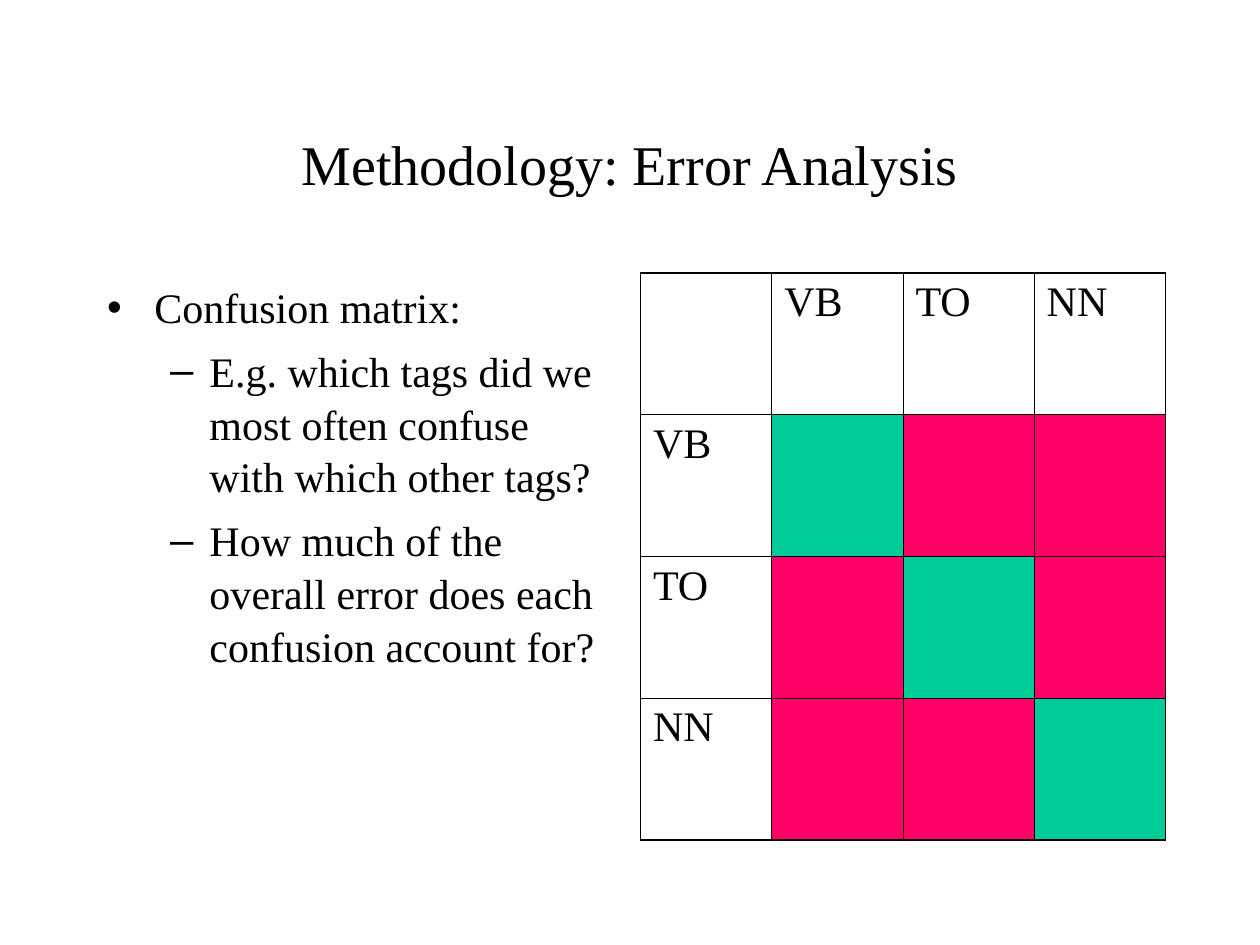
from pptx import Presentation
from pptx.dml.color import RGBColor
from pptx.enum import text
from pptx.oxml import parse_xml
from pptx.oxml.ns import nsdecls
from pptx.util import Pt

BLACK, WHITE, GREEN, PINK = "000000", "FFFFFF", "00CC99", "FF0066"


def write(para, words, size):
    run = para.add_run()
    run.text = words
    run.font.name = "Times New Roman"
    run.font.size = Pt(size)
    run.font.color.rgb = RGBColor.from_string(BLACK)


def edge(cell, side, width):
    """Draw one border of a cell; side is L, R, T or B."""
    cell._tc.get_or_add_tcPr().append(parse_xml(
        f'<a:ln{side} {nsdecls("a")} w="{Pt(width)}"><a:solidFill>'
        f'<a:srgbClr val="{BLACK}"/></a:solidFill></a:ln{side}>'))


prs = Presentation()
prs.slide_width, prs.slide_height = Pt(720), Pt(540)
slide = prs.slides.add_slide(prs.slide_layouts[1])

# Title
title = slide.shapes.title
title.left, title.top, title.width, title.height = Pt(54), Pt(48), Pt(612), Pt(90)
frame = title.text_frame
frame.auto_size = text.MSO_AUTO_SIZE.NONE
frame.vertical_anchor = text.MSO_ANCHOR.MIDDLE
frame.paragraphs[0].alignment = text.PP_ALIGN.CENTER
write(frame.paragraphs[0], "Methodology: Error Analysis", 32)

# List
body = slide.placeholders[1]
body.left, body.top, body.width, body.height = Pt(54), Pt(156), Pt(300), Pt(324)
frame = body.text_frame
frame.auto_size = text.MSO_AUTO_SIZE.NONE
items = [
    (0, "Confusion matrix:"),
    (1, "E.g. which tags did we most often confuse with which other tags?"),
    (1, "How much of the overall error does each confusion account for?"),
]
styles = [("•", 27, -27), ("–", 58.5, -22.5)]
for i, (level, words) in enumerate(items):
    para = frame.add_paragraph() if i else frame.paragraphs[0]
    para.level = level
    para.space_before = Pt(6)
    para.line_spacing = 1.05
    mark, left, hang = styles[level]
    props = para._p.get_or_add_pPr()
    props.set("marL", str(Pt(left)))
    props.set("indent", str(Pt(hang)))
    props.append(parse_xml(f'<a:buChar {nsdecls("a")} char="{mark}"/>'))
    write(para, words, 24)

# Confusion matrix: hits on the diagonal, errors elsewhere
tags = ["", "VB", "TO", "NN"]
last = len(tags) - 1
table = slide.shapes.add_table(
    len(tags), len(tags), Pt(366), Pt(156), Pt(300), Pt(324)).table
table.first_row = table.horz_banding = False
for i in range(len(tags)):
    table.columns[i].width = Pt(75)
    table.rows[i].height = Pt(81)

for r in range(len(tags)):
    for c in range(len(tags)):
        cell = table.cell(r, c)
        outer = {"L": c == 0, "R": c == last, "T": r == 0, "B": r == last}
        for side, thick in outer.items():
            edge(cell, side, 1.08 if thick else 0.45)
        head = r == 0 or c == 0
        color = WHITE if head else GREEN if r == c else PINK
        cell.fill.solid()
        cell.fill.fore_color.rgb = RGBColor.from_string(color)
        if head and r != c:
            para = cell.text_frame.paragraphs[0]
            para.space_before = Pt(6)
            write(para, tags[r or c], 24)

prs.save("out.pptx")
